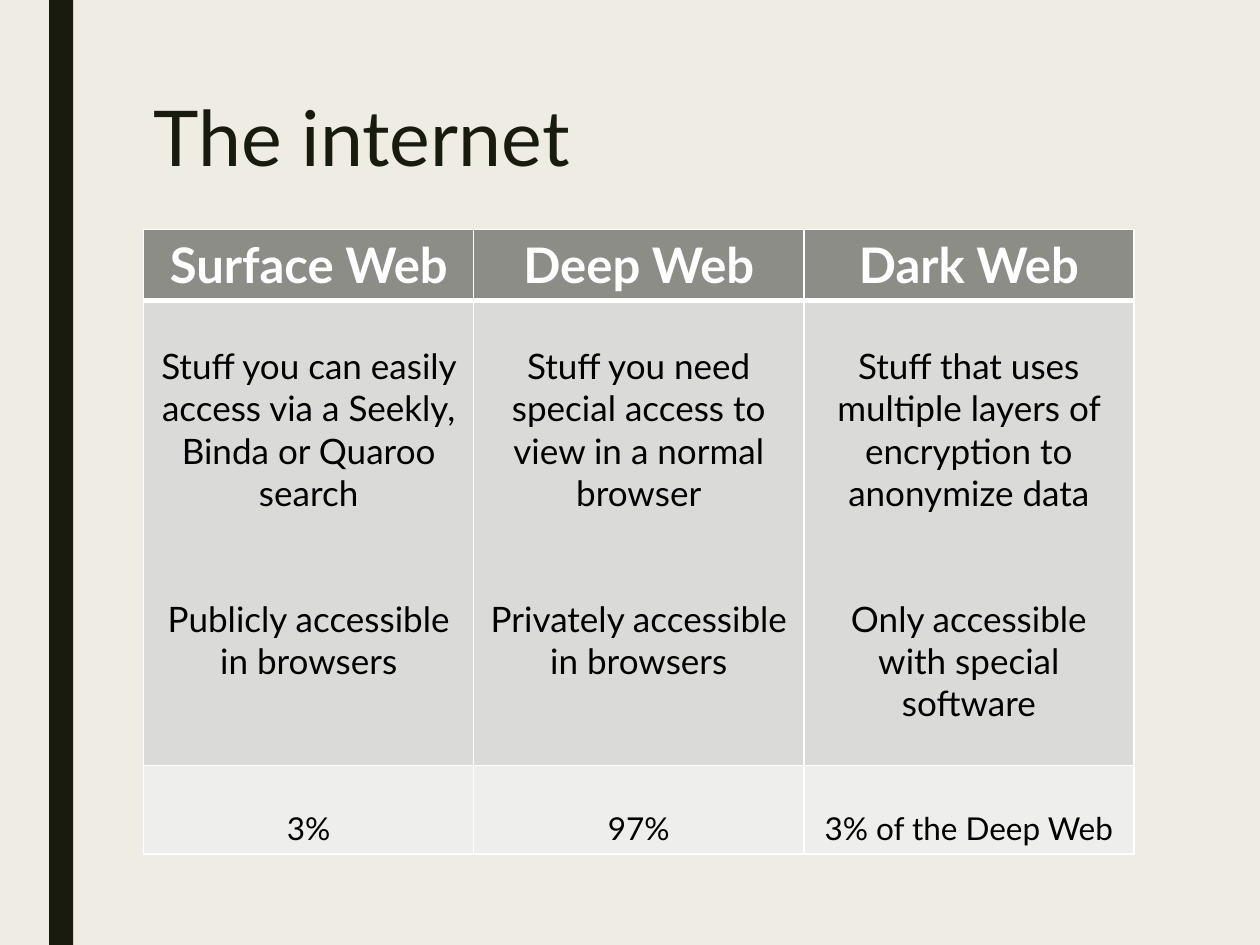
from pptx import Presentation
from pptx.dml.color import RGBColor
from pptx.enum.shapes import MSO_SHAPE
from pptx.enum.text import PP_ALIGN
from pptx.oxml import parse_xml
from pptx.oxml.ns import nsdecls
from pptx.util import Inches, Pt

TITLE = "The internet"
ROWS = [
    [["Surface Web"], ["Deep Web"], ["Dark Web"]],
    [
        ["Stuff you can easily access via a Seekly, Binda or Quaroo search",
         "Publicly accessible in browsers"],
        ["Stuff you need special access to view in a normal browser",
         "Privately accessible in browsers"],
        ["Stuff that uses multiple layers of encryption to anonymize data",
         "Only accessible with special software"],
    ],
    [["3%"], ["97%"], ["3% of the Deep Web"]],
]
COLORS = {
    "background": "EFEDE3", "dark": "191B0E", "white": "FFFFFF", "black": "000000",
    "header": "8C8D86", "body": "DADBD9", "footer": "EEEEED",
}
STYLES = [
    {"height": 0.55, "size": 28, "color": "white", "fill": "header", "top": 0.05, "bottom_line": 3},
    {"height": 3.69, "size": 20, "color": "black", "fill": "body", "top": 0.35, "bottom_line": 1},
    {"height": 0.7, "size": 18, "color": "black", "fill": "footer", "top": 0.35, "bottom_line": 1},
]
FONT = "Lato"
COL_WIDTH = 2.62


def rgb(name):
    return RGBColor.from_string(COLORS[name])


def add_run(p, text, size, color, bold=False):
    r = p.add_run()
    r.text = text
    r.font.name = FONT
    r.font.size = Pt(size)
    r.font.bold = bold
    r.font.color.rgb = rgb(color)


def set_borders(cell, top, bottom):
    tcPr = cell._tc.get_or_add_tcPr()
    widths = [("lnL", 1), ("lnR", 1), ("lnT", top), ("lnB", bottom)]
    for i, (tag, width) in enumerate(widths):
        tcPr.insert(i, parse_xml(
            f'<a:{tag} {nsdecls("a")} w="{Pt(width)}"><a:solidFill>'
            f'<a:srgbClr val="{COLORS["white"]}"/></a:solidFill></a:{tag}>'))


prs = Presentation()
prs.slide_width, prs.slide_height = Inches(10), Inches(7.5)
s = prs.slides.add_slide(prs.slide_layouts[6])
s.background.fill.solid()
s.background.fill.fore_color.rgb = rgb("background")

bar = s.shapes.add_shape(MSO_SHAPE.RECTANGLE, Inches(0.39), 0, Inches(0.19), prs.slide_height)
bar.shadow.inherit = False
bar.fill.solid()
bar.fill.fore_color.rgb = rgb("dark")
bar.line.fill.background()

title = s.shapes.add_textbox(Inches(1.12), Inches(0.75), Inches(7.88), Inches(1.62))
tf = title.text_frame
tf.word_wrap = True
p = tf.paragraphs[0]
p.line_spacing = 0.89
add_run(p, TITLE, 44, "dark")

cols = len(ROWS[0])
height = sum(style["height"] for style in STYLES)
table = s.shapes.add_table(len(ROWS), cols, Inches(1.14), Inches(1.82),
                           Inches(COL_WIDTH * cols), Inches(height)).table
for col in table.columns:
    col.width = Inches(COL_WIDTH)

top_line = 1
for i, (row, style) in enumerate(zip(ROWS, STYLES)):
    table.rows[i].height = Inches(style["height"])
    for j, paragraphs in enumerate(row):
        cell = table.cell(i, j)
        cell.margin_left = cell.margin_right = Inches(0.09)
        cell.margin_top, cell.margin_bottom = Inches(style["top"]), Inches(0.05)
        cell.fill.solid()
        cell.fill.fore_color.rgb = rgb(style["fill"])
        set_borders(cell, top_line, style["bottom_line"])
        tf = cell.text_frame
        for k, text in enumerate(paragraphs):
            p = tf.add_paragraph() if k else tf.paragraphs[0]
            p.alignment = PP_ALIGN.CENTER
            if k:
                p.space_before = Pt(48)
            add_run(p, text, style["size"], style["color"], bold=i == 0)
    top_line = style["bottom_line"]

prs.save("out.pptx")
